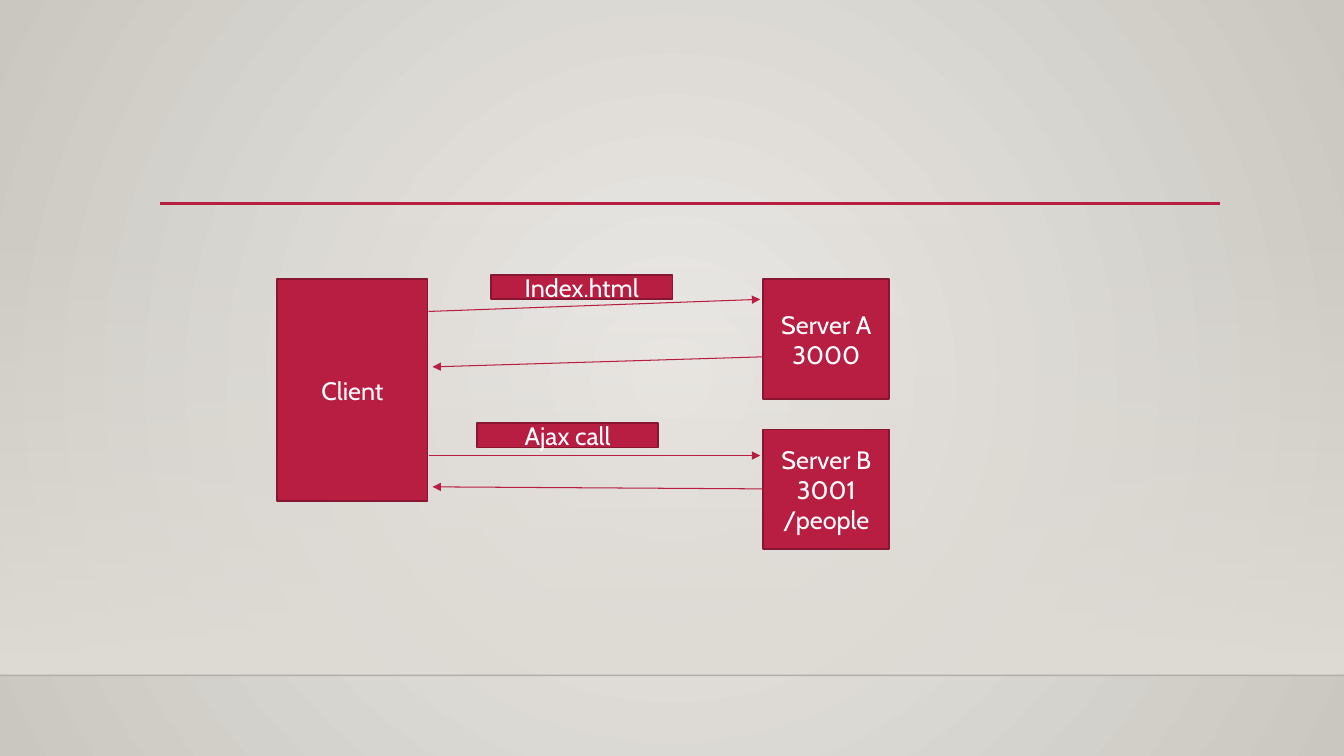
"""Build a slide showing a client calling two servers."""
from dataclasses import dataclass

from lxml import etree
from pptx import Presentation
from pptx.dml.color import RGBColor
from pptx.enum.shapes import MSO_CONNECTOR as Connector, MSO_SHAPE as Shape
from pptx.enum.text import MSO_ANCHOR as Anchor, PP_ALIGN as Align
from pptx.oxml import parse_xml
from pptx.oxml.ns import nsdecls, qn
from pptx.util import Inches, Pt


@dataclass(frozen=True)
class Theme:
    font: str = "Cabin"
    size: int = 18
    text: str = "FFFFFF"
    accent: str = "B71E42"
    border: str = "871631"
    center: str = "ECEAE7"
    edge: str = "CAC7C1"
    floor: str = "DFDBD5"
    horizon: str = "000001"


theme = Theme()


def set_gradient(fill, owner, first, last, direction, first_alpha=100):
    fill.gradient()
    old = next(owner.iter(qn("a:gradFill")))
    new = parse_xml(
        f'<a:gradFill {nsdecls("a")} rotWithShape="1"><a:gsLst>'
        f'<a:gs pos="0"><a:srgbClr val="{first}"><a:alpha val="{first_alpha * 1000}"/></a:srgbClr></a:gs>'
        f'<a:gs pos="100000"><a:srgbClr val="{last}"/></a:gs>'
        f'</a:gsLst>{direction}</a:gradFill>')
    old.getparent().replace(old, new)


def add_box(text, *, left, top, width, height, size=theme.size, color=theme.text):
    box = page.shapes.add_shape(
        Shape.RECTANGLE, Inches(left), Inches(top), Inches(width), Inches(height))
    box.shadow.inherit = False
    box.fill.solid()
    box.fill.fore_color.rgb = RGBColor.from_string(theme.accent)
    box.line.color.rgb = RGBColor.from_string(theme.border)
    box.line.width = Pt(1.25)
    frame = box.text_frame
    frame.word_wrap = True
    frame.vertical_anchor = Anchor.MIDDLE
    frame.text = text
    for para in frame.paragraphs:
        para.alignment = Align.CENTER
        para.font.name = theme.font
        para.font.size = Pt(size)
        para.font.color.rgb = RGBColor.from_string(color)


deck = Presentation()
deck.slide_width, deck.slide_height = Inches(13.33), Inches(7.5)
page = deck.slides.add_slide(deck.slide_layouts[6])

set_gradient(
    page.background.fill, page.element, theme.center, theme.edge,
    '<a:path path="circle"><a:fillToRect l="50000" t="50000" r="50000" b="50000"/></a:path>')

floor = page.shapes.add_shape(
    Shape.RECTANGLE, 0, Inches(2.21), deck.slide_width, Inches(4.49))
floor.shadow.inherit = False
floor.line.fill.background()
set_gradient(floor.fill, floor.element, theme.floor, theme.floor,
             '<a:lin ang="5400000" scaled="0"/>', first_alpha=0)

for text, left, top, width, height in [
    ("Client", 2.75, 2.77, 1.49, 2.2),
    ("Server A\n3000", 7.57, 2.77, 1.25, 1.19),
    ("Server B\n3001\n/people", 7.57, 4.26, 1.25, 1.19),
]:
    add_box(text, left=left, top=top, width=width, height=height)

request_x, response_x = (4.25, 7.54), (7.57, 4.29)
for (start_x, end_x), start_y, end_y, color, width, alpha, arrow in [
    ((0, 13.33), 6.7, 6.7, theme.horizon, 1, 20, False),
    ((1.59, 12.1), 2.02, 2.02, theme.accent, 2.5, 100, False),
    (request_x, 3.09, 2.97, theme.accent, 0.75, 100, True),
    (response_x, 3.54, 3.64, theme.accent, 0.75, 100, True),
    (request_x, 4.52, 4.52, theme.accent, 0.75, 100, True),
    (response_x, 4.85, 4.83, theme.accent, 0.75, 100, True),
]:
    line = page.shapes.add_connector(
        Connector.STRAIGHT, Inches(start_x), Inches(start_y), Inches(end_x), Inches(end_y))
    line.line.color.rgb = RGBColor.from_string(color)
    line.line.width = Pt(width)
    properties = line.element.spPr
    if alpha < 100:
        tint = next(properties.iter(qn("a:srgbClr")))
        etree.SubElement(tint, qn("a:alpha"), val=str(alpha * 1000))
    if arrow:
        etree.SubElement(properties.find(qn("a:ln")), qn("a:tailEnd"), type="triangle")
    etree.SubElement(properties, qn("a:effectLst"))

for text, left, top in [("Index.html", 4.87, 2.73), ("Ajax call", 4.73, 4.2)]:
    add_box(text, left=left, top=top, width=1.8, height=0.24)

deck.save("out.pptx")
